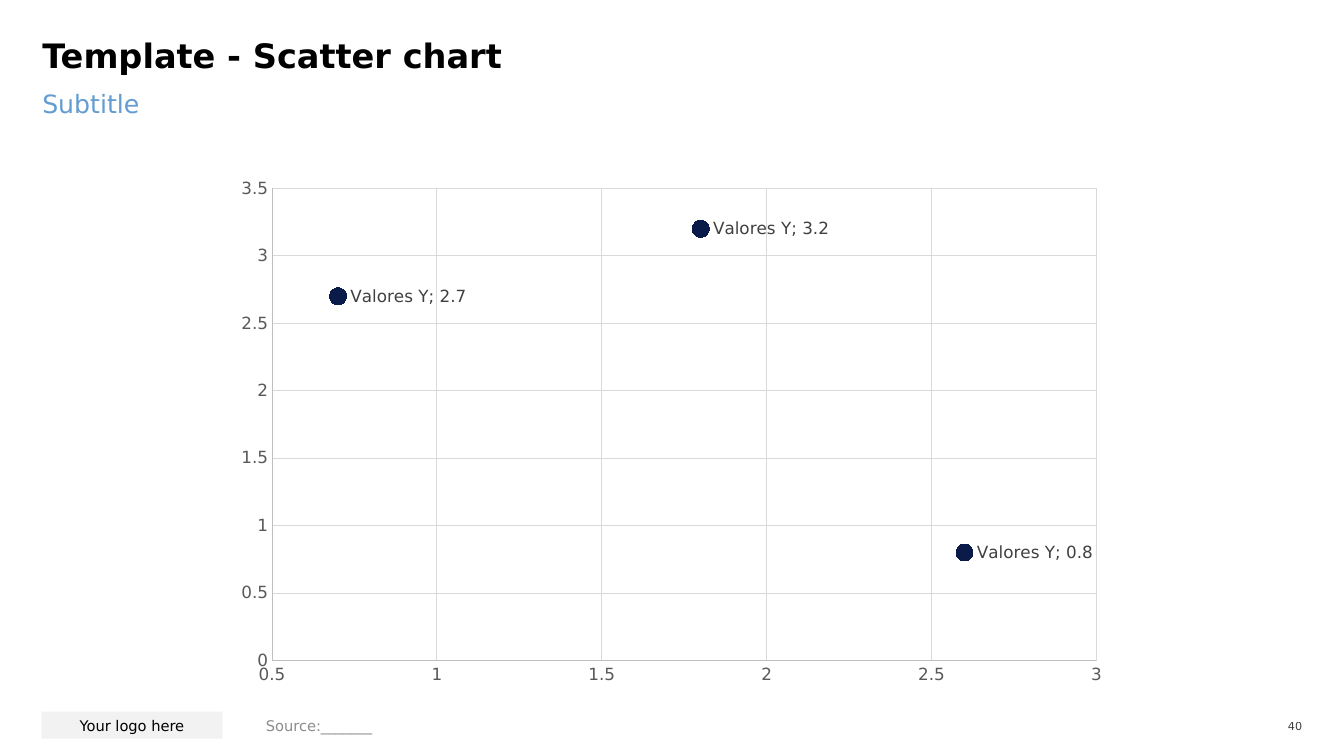
import dataclasses
import typing

import lxml.etree
import pptx
import pptx.chart.data
import pptx.chart.datalabel
import pptx.dml.color
import pptx.enum.chart
import pptx.enum.text
import pptx.oxml.ns
import pptx.util

Pt = pptx.util.Pt
RGBColor = pptx.dml.color.RGBColor
ALIGN = pptx.enum.text.PP_ALIGN
ANCHOR = pptx.enum.text.MSO_ANCHOR
qn = pptx.oxml.ns.qn

FONT = "DejaVu Sans"
BLACK = RGBColor(0x00, 0x00, 0x00)
BLUE = RGBColor(0x62, 0x9C, 0xD0)
NAVY = RGBColor(0x0A, 0x1A, 0x49)
PALE = RGBColor(0xF2, 0xF2, 0xF2)
SOURCE = RGBColor(0x8C, 0x8C, 0x8C)
LABEL = RGBColor(0x40, 0x40, 0x40)
TICK = RGBColor(0x59, 0x59, 0x59)
AXIS = RGBColor(0xBF, 0xBF, 0xBF)
GRID = RGBColor(0xD9, 0xD9, 0xD9)


@dataclasses.dataclass(frozen=True)
class Block:
    text: str
    box: tuple[float, float, float, float]
    size: float
    color: RGBColor
    bold: bool = False
    align: ALIGN = ALIGN.LEFT
    anchor: ANCHOR = ANCHOR.MIDDLE
    inset: tuple[float, float] = (0, 0)
    after: float = 0
    pitch: float = 1.0
    holder: typing.Optional[int] = None
    fill: typing.Optional[RGBColor] = None
    alpha: typing.Optional[int] = None


BLOCKS = [
    Block("40", (900, 510.5, 30.2, 16.5), 8, BLACK, align=ALIGN.RIGHT,
          after=12, alpha=75),
    Block("Your logo here", (29.5, 508.3, 129.6, 19.4), 10.5, BLACK,
          align=ALIGN.CENTER, inset=(7.2, 7.2), fill=PALE),
    Block("Subtitle", (30.2, 63.4, 899.3, 45.4), 18, BLUE,
          anchor=ANCHOR.TOP, after=12, holder=1),
    Block("Template - Scatter chart", (30.2, 30.2, 899.3, 38.2), 24, BLACK,
          bold=True, anchor=ANCHOR.TOP, pitch=0.8, holder=0),
    Block("Source:_______", (182.9, 509, 460.1, 18.7), 10.5, SOURCE,
          inset=(7.2, 3.6)),
]


def style(font: pptx.text.text.Font, size: float, color: RGBColor) -> None:
    font.name, font.size = FONT, Pt(size)
    font.color.rgb = color


def draw_block(slide: pptx.slide.Slide, block: Block) -> None:
    box = [Pt(side) for side in block.box]
    if block.holder is None:
        shape = slide.shapes.add_textbox(*box)
    else:
        shape = slide.placeholders[block.holder]
        shape.left, shape.top, shape.width, shape.height = box
    if block.fill is not None:
        shape.fill.solid()
        shape.fill.fore_color.rgb = block.fill
    frame = shape.text_frame
    frame.text = block.text
    frame.word_wrap = True
    frame.auto_size = pptx.enum.text.MSO_AUTO_SIZE.NONE
    frame.vertical_anchor = block.anchor
    frame.margin_left = frame.margin_right = Pt(block.inset[0])
    frame.margin_top = frame.margin_bottom = Pt(block.inset[1])
    line = frame.paragraphs[0]
    line.alignment, line.line_spacing = block.align, block.pitch
    line.space_before, line.space_after = Pt(0), Pt(block.after)
    props = line._p.get_or_add_pPr()
    props.set("marL", "0")
    props.set("indent", "0")
    lxml.etree.SubElement(props, qn("a:buNone"))
    run = line.runs[0]
    style(run.font, block.size, block.color)
    run.font.bold = block.bold
    if block.alpha is not None:
        tint = run._r.find(".//" + qn("a:srgbClr"))
        lxml.etree.SubElement(tint, qn("a:alpha")).set("val", str(block.alpha * 1000))


def style_axis(axis: typing.Any, low: float, high: float) -> None:
    axis.minimum_scale, axis.maximum_scale, axis.major_unit = low, high, 0.5
    marks = pptx.enum.chart.XL_TICK_MARK
    axis.major_tick_mark = axis.minor_tick_mark = marks.NONE
    axis.has_major_gridlines = True
    style(axis.tick_labels.font, 12, TICK)
    axis.tick_labels.number_format = "General"
    axis.tick_labels.number_format_is_linked = False
    for part, color in ((axis, AXIS), (axis.major_gridlines, GRID)):
        part.format.line.color.rgb = color
        part.format.line.width = Pt(0.75)


def place_plot(chart: pptx.chart.chart.Chart) -> None:
    area = chart._chartSpace.chart.plotArea
    for old in area.findall(qn("c:layout")):
        area.remove(old)
    layout = lxml.etree.Element(qn("c:layout"))
    area.insert(0, layout)
    manual = lxml.etree.SubElement(layout, qn("c:manualLayout"))
    rules = (("layoutTarget", "inner"), ("xMode", "edge"), ("yMode", "edge"),
             ("x", "0.054"), ("y", "0.04"), ("w", "0.92"), ("h", "0.894"))
    for name, value in rules:
        lxml.etree.SubElement(manual, qn("c:" + name)).set("val", value)


def draw_chart(slide: pptx.slide.Slide) -> None:
    data = pptx.chart.data.XyChartData()
    points = data.add_series("Valores Y")
    for x, y in ((0.7, 2.7), (1.8, 3.2), (2.6, 0.8)):
        points.add_data_point(x, y)
    kind = pptx.enum.chart.XL_CHART_TYPE.XY_SCATTER
    box = [Pt(side) for side in (159.8, 119.5, 640.1, 377.3)]
    chart = slide.shapes.add_chart(kind, *box, data).chart
    style(chart.font, 10, BLACK)
    chart.has_legend = chart.has_title = False
    chart.plots[0].vary_by_categories = False
    style_axis(chart.category_axis, 0.5, 3)
    style_axis(chart.value_axis, 0, 3.5)
    place_plot(chart)
    series = chart.plots[0].series[0]
    series.format.line.fill.background()
    mark = series.marker
    mark.style, mark.size = pptx.enum.chart.XL_MARKER_STYLE.CIRCLE, 12
    mark.format.fill.solid()
    mark.format.fill.fore_color.rgb = NAVY
    mark.format.line.color.rgb = NAVY
    node = series._element.get_or_add_dLbls()
    labels = pptx.chart.datalabel.DataLabels(node)
    labels.show_value = labels.show_series_name = True
    labels.position = pptx.enum.chart.XL_LABEL_POSITION.RIGHT
    style(labels.font, 12, LABEL)
    mid = lxml.etree.Element(qn("c:separator"))
    mid.text = "; "
    node.find(qn("c:showBubbleSize")).addnext(mid)


def main() -> None:
    deck = pptx.Presentation()
    deck.slide_width, deck.slide_height = Pt(960), Pt(540)
    slide = deck.slides.add_slide(deck.slide_layouts[1])
    for block in BLOCKS:
        draw_block(slide, block)
    draw_chart(slide)
    deck.save("out.pptx")


if __name__ == "__main__":
    main()
